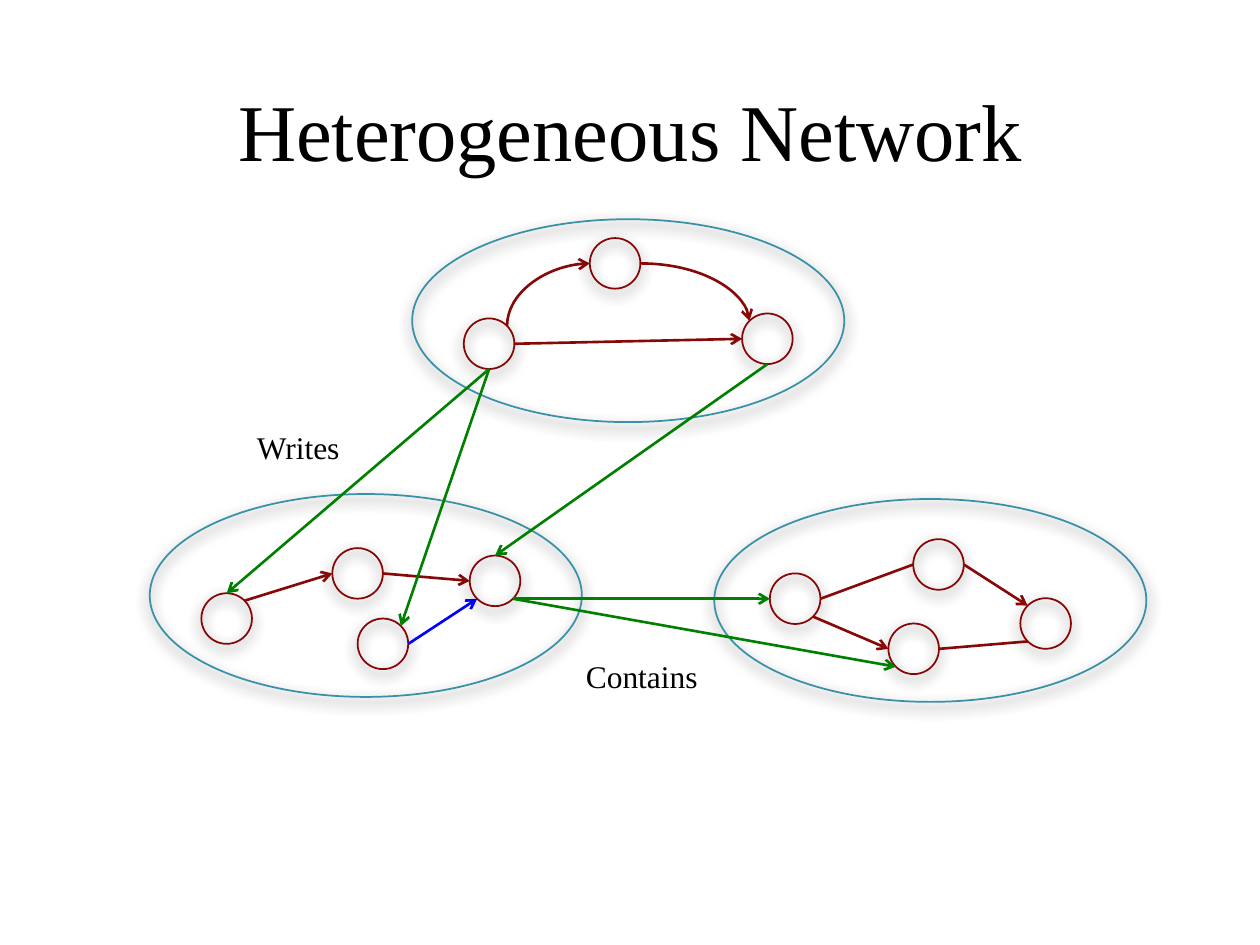
from math import sqrt

from lxml import etree
from pptx import Presentation
from pptx.dml.color import RGBColor
from pptx.enum.shapes import MSO_CONNECTOR, MSO_SHAPE
from pptx.enum.text import MSO_ANCHOR, PP_ALIGN
from pptx.oxml.ns import qn
from pptx.util import Cm, Pt

OVAL = MSO_SHAPE.OVAL
LINE, CURVE = MSO_CONNECTOR.STRAIGHT, MSO_CONNECTOR.CURVE
MIDDLE, TOP = MSO_ANCHOR.MIDDLE, MSO_ANCHOR.TOP
CENTER, LEFT = PP_ALIGN.CENTER, PP_ALIGN.LEFT

FONT = "Times New Roman"
COLORS = {"text": "000000", "node": "860605", "group": "3891A7",
          "red": "860908", "green": "008000", "blue": "0000FF"}

# Text, left, top, width, height, size, anchor, alignment, wrap
TEXTS = [
    ("Heterogeneous Network", 2.54, 1.4, 20.32, 2.41, 46, MIDDLE, CENTER, True),
    ("Writes", 4.93, 8.51, 2.18, 1.8, 18, TOP, LEFT, False),
    ("Contains", 11.56, 13.13, 2.87, 1.8, 18, TOP, LEFT, False),
]

# Left and top of each group
GROUPS = [(8.31, 4.42), (3.02, 9.96), (14.4, 10.06)]
WIDE, HIGH = 8.71, 4.09

# Centre of each node
NODES = {
    "a1": (9.86, 6.93), "a2": (12.4, 5.31), "a3": (15.47, 6.83),
    "p1": (4.57, 12.47), "p2": (7.21, 11.56), "p3": (9.98, 11.71),
    "p4": (7.72, 12.98),
    "w1": (16.03, 12.07), "w2": (18.92, 11.38), "w3": (18.42, 13.08),
    "w4": (21.08, 12.57),
}
RADIUS = 0.51

# From node and side, to node and side, colour, arrowhead
EDGES = [
    ("a1", "r", "a3", "l", "red", True),
    ("p1", "tr", "p2", "l", "red", True),
    ("p2", "r", "p3", "l", "red", True),
    ("p4", "r", "p3", "bl", "blue", True),
    ("a1", "b", "p1", "t", "green", True),
    ("a1", "b", "p4", "tr", "green", True),
    ("a3", "b", "p3", "t", "green", True),
    ("p3", "br", "w1", "l", "green", True),
    ("p3", "br", "w3", "bl", "green", True),
    ("w1", "br", "w3", "l", "red", True),
    ("w2", "r", "w4", "tl", "red", True),
    ("w3", "r", "w4", "bl", "red", False),
    ("w1", "r", "w2", "l", "red", False),
]
# From node and side, to node and side, whether it starts upright
CURVES = [("a1", "tr", "a2", "l", True), ("a2", "r", "a3", "tl", False)]


def rgb(name):
    return RGBColor.from_string(COLORS[name])


def add_text(slide, text, x, y, w, h, size, anchor, align, wrap):
    frame = slide.shapes.add_textbox(Cm(x), Cm(y), Cm(w), Cm(h)).text_frame
    frame.word_wrap = wrap
    frame.vertical_anchor = anchor
    para = frame.paragraphs[0]
    para.alignment = align
    run = para.add_run()
    run.text = text
    run.font.name = FONT
    run.font.size = Pt(size)
    run.font.color.rgb = rgb("text")


def add_ring(slide, x, y, w, h, color):
    """Add an unfilled ellipse with a soft shadow below it."""
    ring = slide.shapes.add_shape(OVAL, Cm(x), Cm(y), Cm(w), Cm(h))
    ring.fill.background()
    ring.line.color.rgb = rgb(color)
    ring.line.width = Pt(1)
    ring.shadow.inherit = False
    effects = ring._element.spPr.find(qn("a:effectLst"))
    shade = etree.SubElement(effects, qn("a:outerShdw"), blurRad=str(Pt(8)),
                             dist=str(Pt(3)), dir="5400000", rotWithShape="0")
    black = etree.SubElement(shade, qn("a:srgbClr"), val="000000")
    etree.SubElement(black, qn("a:alpha"), val="75000")


def spot(node, side):
    """Return the point on a node's rim, such as "t" or "bl"."""
    x, y = NODES[node]
    reach = RADIUS / sqrt(len(side))
    dx = ("r" in side) - ("l" in side)
    dy = ("b" in side) - ("t" in side)
    return x + dx * reach, y + dy * reach


def add_link(slide, kind, start, end, color, arrow):
    link = slide.shapes.add_connector(kind, *map(Cm, start + end))
    link.line.color.rgb = rgb(color)
    link.line.width = Pt(1.5)
    if arrow:
        etree.SubElement(link.line._get_or_add_ln(), qn("a:tailEnd"), type="arrow")
    etree.SubElement(link._element.spPr, qn("a:effectLst"))
    return link


def add_curve(slide, start, end, upright):
    """Add a quarter bend; an upright start needs a quarter turn."""
    if upright:
        (x1, y1), (x2, y2) = start, end
        mx, my = (x1 + x2) / 2, (y1 + y2) / 2
        dx, dy = (x2 - x1) / 2, (y2 - y1) / 2
        start, end = (mx - dy, my + dx), (mx + dy, my - dx)
        # Flipping both ways makes the turned bend leave upwards
    link = add_link(slide, CURVE, start, end, "red", True)
    props = link._element.spPr
    props.find(qn("a:prstGeom")).set("prst", "curvedConnector2")
    if upright:
        props.find(qn("a:xfrm")).set("rot", "5400000")


def main():
    deck = Presentation()
    deck.slide_width, deck.slide_height = Cm(25.4), Cm(19.05)
    slide = deck.slides.add_slide(deck.slide_layouts[6])
    for item in TEXTS:
        add_text(slide, *item)
    for x, y in GROUPS:
        add_ring(slide, x, y, WIDE, HIGH, "group")
    for x, y in NODES.values():
        add_ring(slide, x - RADIUS, y - RADIUS, 2 * RADIUS, 2 * RADIUS, "node")
    for a, out, b, into, color, arrow in EDGES:
        add_link(slide, LINE, spot(a, out), spot(b, into), color, arrow)
    for a, out, b, into, upright in CURVES:
        add_curve(slide, spot(a, out), spot(b, into), upright)
    deck.save("out.pptx")


if __name__ == "__main__":
    main()
